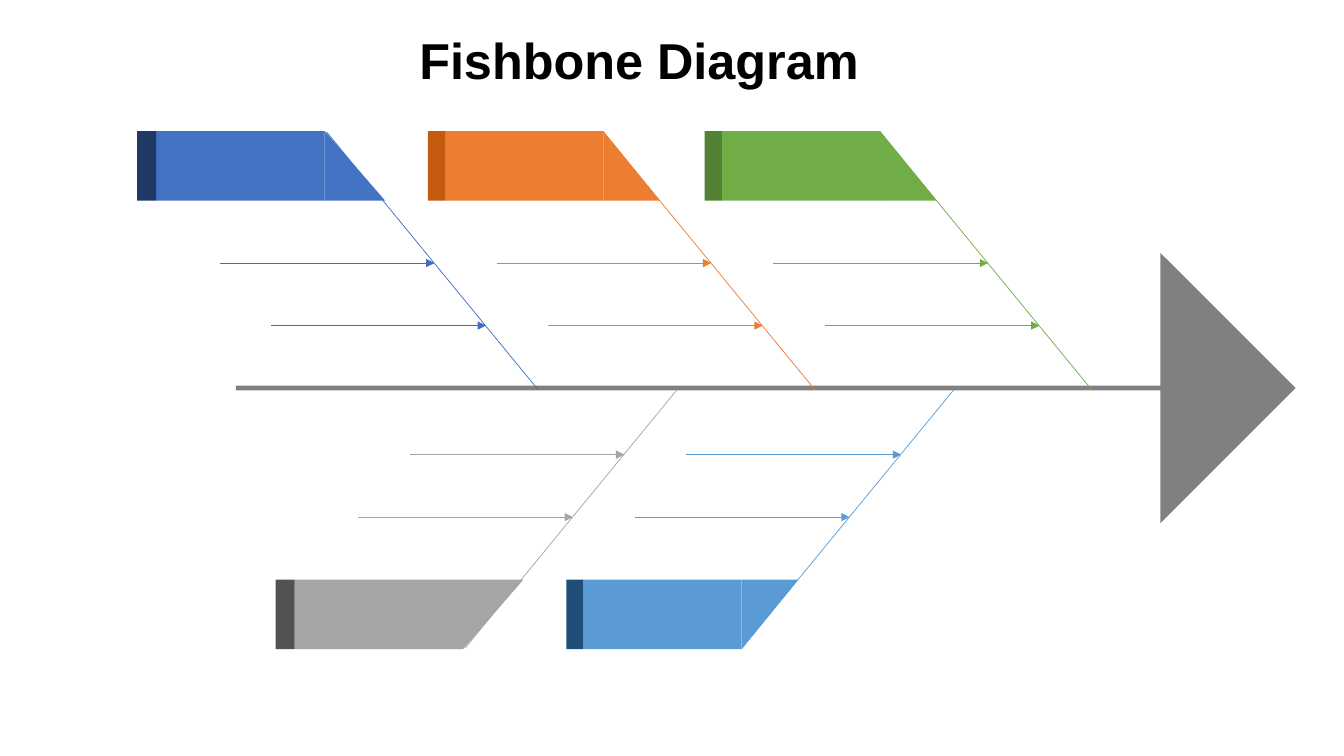
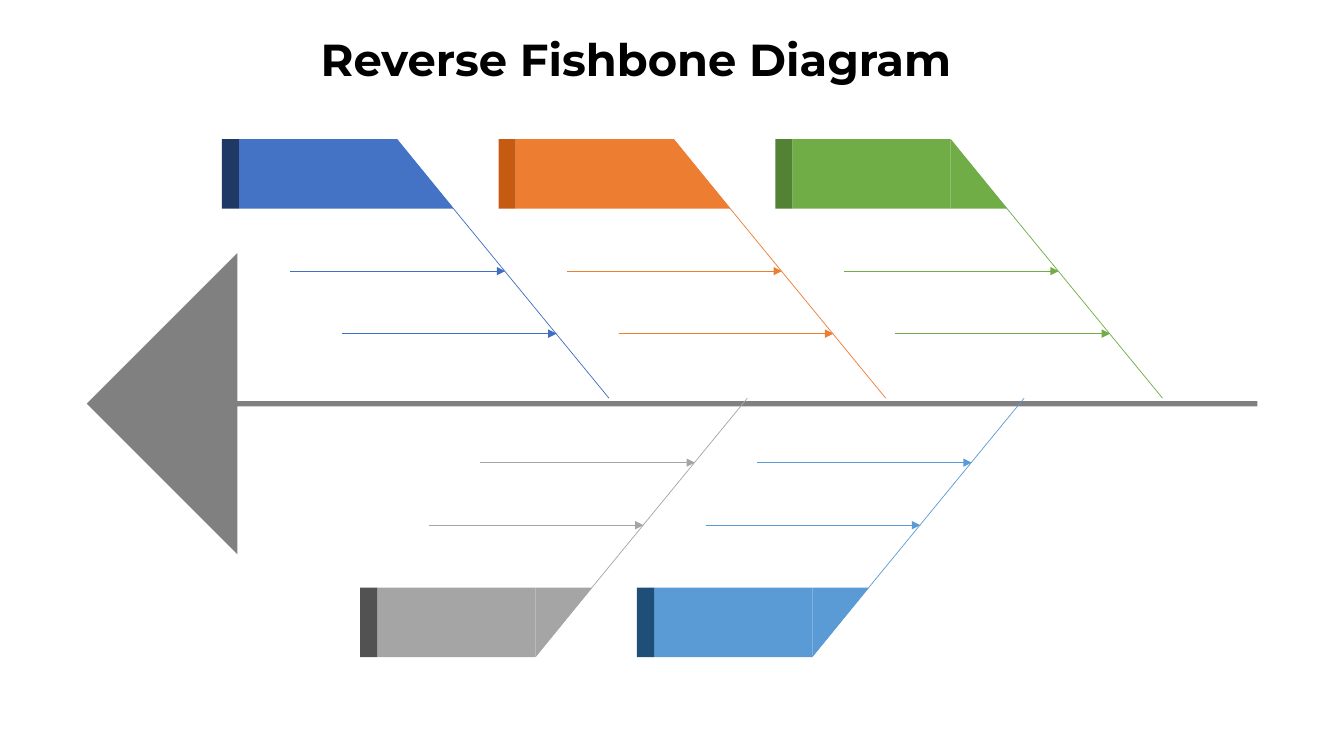
from lxml import etree
from pptx import Presentation
from pptx import util as u
from pptx.dml.color import RGBColor
from pptx.enum import shapes, text
from pptx.oxml.ns import qn

BLACK = RGBColor(0x00, 0x00, 0x00)
SPINE_GREY = RGBColor(0x80, 0x80, 0x80)
BLUE, NAVY = RGBColor(0x44, 0x72, 0xC4), RGBColor(0x20, 0x38, 0x64)
RIB_BLUE = RGBColor(0x3F, 0x6E, 0xC2)
ORANGE, RUST = RGBColor(0xED, 0x7D, 0x31), RGBColor(0xC5, 0x5A, 0x11)
GREEN, FOREST = RGBColor(0x70, 0xAD, 0x47), RGBColor(0x54, 0x82, 0x35)
GREY, CHARCOAL = RGBColor(0xA5, 0xA5, 0xA5), RGBColor(0x52, 0x52, 0x52)
SKY, TEAL = RGBColor(0x5B, 0x9B, 0xD5), RGBColor(0x1F, 0x4E, 0x79)

# Grid in inches: ribs meet the spine one column apart, alternately above and below
COLUMN = 5.49 / 4
RIB_RUN, RIB_RISE = 2.1, 2.56
LABEL_H, LABEL_FAR = 0.69, 2.57
CAUSE_LENGTH = 2.13
CAUSES = ((1.03, 1.26), (0.52, 0.64))  # distance of the arrowhead from the rib's foot

# Column, side (-1 above, 1 below), rib, label and cap colours
RIBS = (
    (0, -1, RIB_BLUE, BLUE, NAVY),
    (2, -1, ORANGE, ORANGE, RUST),
    (4, -1, GREEN, GREEN, FOREST),
    (1, 1, GREY, GREY, CHARCOAL),
    (3, 1, SKY, SKY, TEAL),
)

# Label sizes: shift of the slanted end, then widths of end, body and cap
REGULAR = (0, 0.56, 1.57, 0.17)
WIDE = (0.02, 0.6, 1.67, 0.19)

DIAGRAMS = (
    dict(title="Fishbone Diagram", title_box=(1.98, 0.31, 8.62, 0.81),
         font="Arial", size=36, spacing=0.9, right_inset=0, wrap=True,
         spine=(2.34, 2.51, 10.51, 2.68), turn=0,
         foot=(5.34, 3.87), wide_columns=(0, 1)),
    dict(title="Reverse Fishbone Diagram", title_box=(2.93, 0.27, 6.76, 0.64),
         font="Montserrat", size=32, spacing=1.0, right_inset=0.1, wrap=False,
         spine=(0.86, 2.51, 11.61, 2.99), turn=180,
         foot=(6.04, 3.95), wide_columns=()),
)


def add_block(slide, preset, box, color):
    block = slide.shapes.add_shape(preset, *map(u.Inches, box))
    block.shadow.inherit = False
    block.fill.solid()
    block.fill.fore_color.rgb = color
    block.line.fill.background()
    return block


def add_line(slide, ends, color, arrow=False):
    line = slide.shapes.add_connector(shapes.MSO_CONNECTOR.STRAIGHT, *map(u.Inches, ends))
    line.line.color.rgb = color
    line.line.width = u.Pt(0.5)
    if arrow:
        etree.SubElement(line.line._get_or_add_ln(), qn("a:tailEnd"), type="triangle")
    etree.SubElement(line._element.spPr, qn("a:effectLst"))


prs = Presentation()
prs.slide_width, prs.slide_height = u.Inches(13.33), u.Inches(7.5)

for diagram in DIAGRAMS:
    slide = prs.slides.add_slide(prs.slide_layouts[6])

    # Title
    title = slide.shapes.add_textbox(*map(u.Inches, diagram["title_box"])).text_frame
    title.word_wrap = diagram["wrap"]
    title.margin_right = u.Inches(diagram["right_inset"])
    heading = title.paragraphs[0]
    heading.text = diagram["title"]
    heading.alignment = text.PP_ALIGN.CENTER
    heading.line_spacing = diagram["spacing"]
    heading.font.name = diagram["font"]
    heading.font.size = u.Pt(diagram["size"])
    heading.font.bold = True
    heading.font.color.rgb = BLACK

    # Spine with the fish's head
    spine = add_block(slide, shapes.MSO_SHAPE.RIGHT_ARROW, diagram["spine"], SPINE_GREY)
    spine.adjustments[0] = 0.017
    spine.adjustments[1] = 0.5
    spine.rotation = diagram["turn"]

    first_foot, foot_y = diagram["foot"]
    for column, side, rib_color, label_color, cap_color in RIBS:
        foot_x = first_foot + column * COLUMN
        tip_x = foot_x - RIB_RUN

        # Rib and its cause arrows
        add_line(slide, (foot_x, foot_y, tip_x, foot_y + side * RIB_RISE), rib_color)
        for back, away in CAUSES:
            head_x, cause_y = foot_x - back, foot_y + side * away
            add_line(slide, (head_x - CAUSE_LENGTH, cause_y, head_x, cause_y),
                     rib_color, arrow=True)

        # Label: body, slanted end, dark cap
        shift, end_w, body_w, cap_w = WIDE if column in diagram["wide_columns"] else REGULAR
        label_y = foot_y - LABEL_FAR if side < 0 else foot_y + LABEL_FAR - LABEL_H
        end_x = tip_x - shift
        body_x = end_x - body_w
        add_block(slide, shapes.MSO_SHAPE.RECTANGLE,
                  (body_x, label_y, body_w, LABEL_H), label_color)
        slant = add_block(slide, shapes.MSO_SHAPE.RIGHT_TRIANGLE,
                          (end_x, label_y, end_w, LABEL_H), label_color)
        if side > 0:
            slant._element.spPr.xfrm.set("flipV", "1")
        add_block(slide, shapes.MSO_SHAPE.RECTANGLE,
                  (body_x - cap_w, label_y, cap_w, LABEL_H), cap_color)

prs.save("out.pptx")
